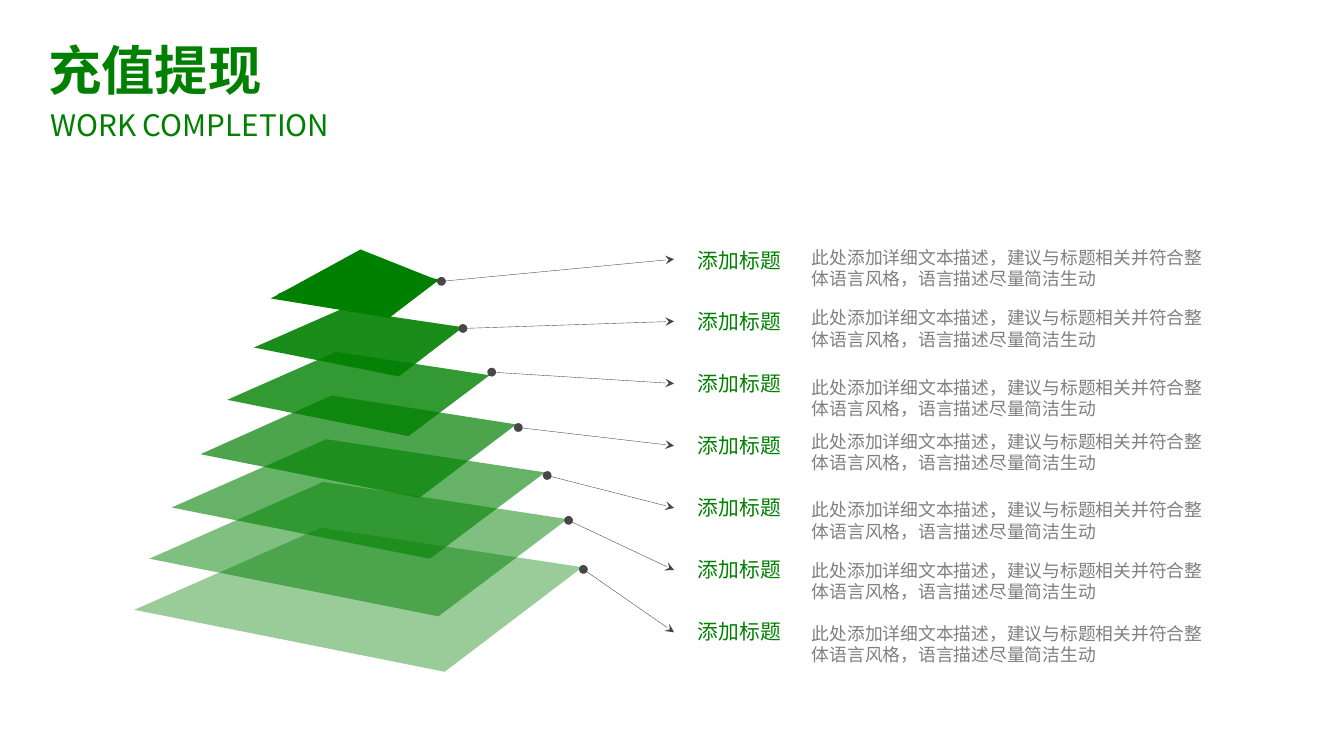
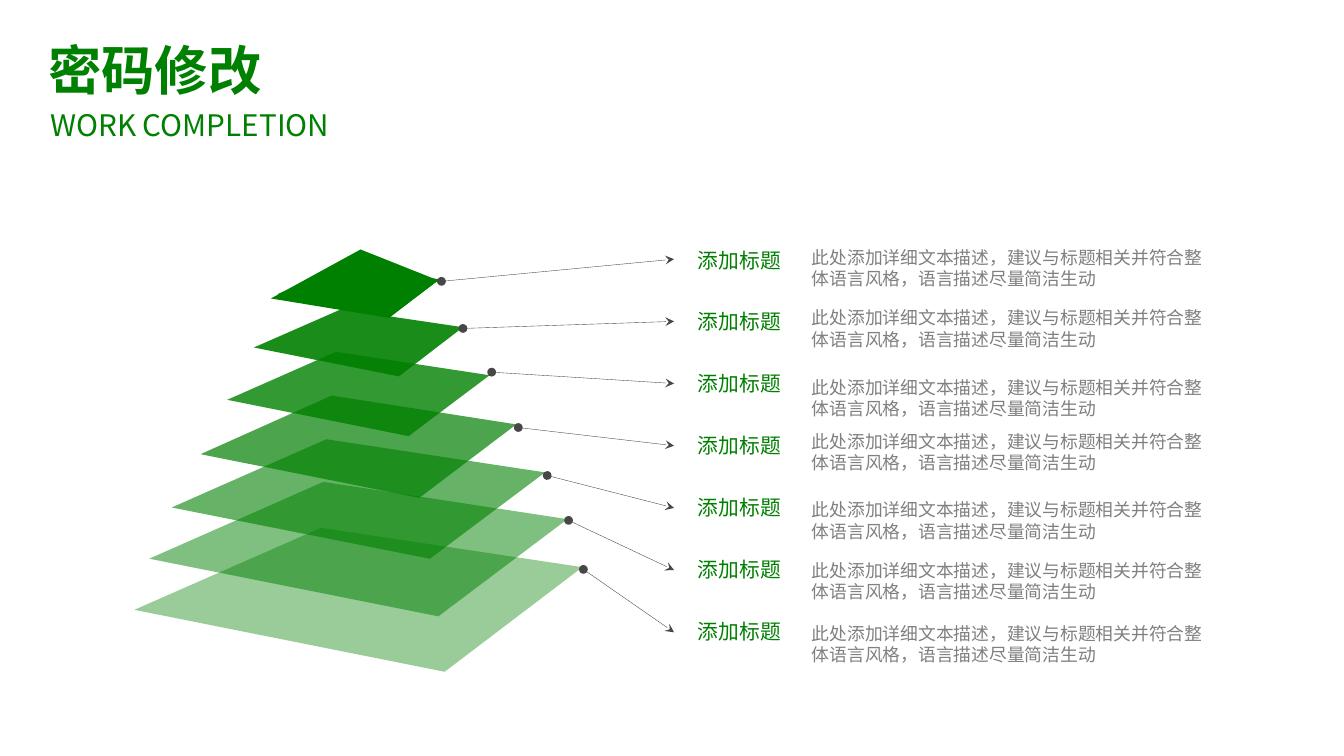
"""Builds two slides that each explain a seven-layer pyramid."""
from lxml.etree import SubElement
from pptx import Presentation
from pptx.dml.color import RGBColor
from pptx.enum.shapes import MSO_CONNECTOR as Connector
from pptx.enum.text import MSO_ANCHOR as Anchor, MSO_AUTO_SIZE as AutoSize
from pptx.oxml.ns import qn
from pptx.util import Pt

TITLES = ["充值提现", "密码修改"]
SUBTITLE = "WORK COMPLETION"
LABEL = "添加标题"
DESCRIPTION = "此处添加详细文本描述，建议与标题相关并符合整体语言风格，语言描述尽量简洁生动"
FONT, GREEN, GRAY, DARK = "Noto Sans CJK SC", "008000", "808080", "474747"

TIERS = [
    [(187.2, 198.7), (262.8, 214.6), (296.6, 188.6), (232.6, 179.3)],
    [(171.4, 234.7), (269.3, 254.2), (312.5, 221), (230.4, 208.8)],
    [(153.4, 270), (275.8, 294.5), (330.5, 253.4), (226.8, 237.6)],
    [(135.4, 306.7), (283, 336.2), (348.5, 286.6), (223.9, 267.1)],
    [(115.9, 342.7), (290.2, 377.3), (367.9, 319), (220.3, 296.6)],
    [(100.8, 377.3), (295.9, 416.2), (383, 350.6), (218.2, 325.4)],
    [(90.7, 411.8), (300.2, 453.6), (393.1, 383), (216.7, 356.4)],
]
PEAK = [(182.9, 201.6), (243.4, 168.5), (295.9, 189.4), (262.1, 214.6)]
POINTER_STARTS = [(298, 190), (312.5, 221.8), (331.9, 251.3), (349.9, 288.7),
                  (369.4, 321.1), (383.8, 351.4), (393.8, 384.5)]
DESCRIPTION_TOPS = [166.3, 207.4, 254.2, 290.9, 337, 378, 420.5]
POINTER_END, POINTER_TOP, POINTER_STEP = 455, 175, 42
LABEL_TOP, LABEL_STEP = 165, 41.75


def color(value):
    return RGBColor.from_string(value)


def add_text(slide, text, box, size, ink=GREEN, bold=False, margins=(0, 0),
             anchor=Anchor.TOP, spacing=None, grow=True):
    frame = slide.shapes.add_textbox(*map(Pt, box)).text_frame
    frame.word_wrap = True
    frame.auto_size = AutoSize.SHAPE_TO_FIT_TEXT if grow else AutoSize.NONE
    frame.vertical_anchor = anchor
    frame.margin_left = frame.margin_right = Pt(margins[0])
    frame.margin_top = frame.margin_bottom = Pt(margins[1])
    paragraph = frame.paragraphs[0]
    paragraph.line_spacing = spacing
    run = paragraph.add_run()
    run.text = text
    run.font.size, run.font.bold, run.font.name = Pt(size), bold, FONT
    run.font.color.rgb = color(ink)
    SubElement(run.font._element, qn("a:ea"), typeface=FONT)


def add_tier(shapes, corners, opacity=100):
    start, *others = [(Pt(x), Pt(y)) for x, y in corners]
    builder = shapes.build_freeform(*start)
    builder.add_line_segments(others, close=True)
    tier = builder.convert_to_shape()
    tier.shadow.inherit = False
    tier.line.fill.background()
    tier.fill.solid()
    tier.fill.fore_color.rgb = color(GREEN)
    if opacity < 100:
        ink = tier.element.spPr.find(qn("a:solidFill"))[0]
        SubElement(ink, qn("a:alpha"), val=str(opacity * 1000))


def add_pointer(slide, start, end):
    pointer = slide.shapes.add_connector(Connector.STRAIGHT, *map(Pt, start + end))
    pointer.line.width = Pt(0.25)
    pointer.line.color.rgb = color(DARK)
    properties = pointer.element.spPr
    outline = properties.find(qn("a:ln"))
    SubElement(outline, qn("a:headEnd"), type="oval")
    SubElement(outline, qn("a:tailEnd"), type="stealth")
    SubElement(properties, qn("a:effectLst"))


def add_pyramid(slide):
    for index in range(len(TIERS) - 1, 0, -1):
        add_tier(slide.shapes, TIERS[index], 100 - 10 * index)
    top = slide.shapes.add_group_shape()
    for corners in (TIERS[0], PEAK):
        add_tier(top.shapes, corners)


def add_explanations(slide):
    for index, (start, top) in enumerate(zip(POINTER_STARTS, DESCRIPTION_TOPS)):
        add_pointer(slide, start, (POINTER_END, POINTER_TOP + index * POINTER_STEP))
        add_text(slide, LABEL, (471, LABEL_TOP + index * LABEL_STEP, 77, 23), 14,
                 margins=(0, 3.6), anchor=Anchor.MIDDLE, spacing=0.9, grow=False)
        add_text(slide, DESCRIPTION, (548, top, 268.5, 29), 12, ink=GRAY)


def main():
    deck = Presentation()
    deck.slide_width, deck.slide_height = Pt(907.2), Pt(510.5)
    for title in TITLES:
        slide = deck.slides.add_slide(deck.slide_layouts[6])
        add_pyramid(slide)
        add_explanations(slide)
        add_text(slide, title, (24.5, 21, 287, 52), 36, bold=True, margins=(8, 4.2))
        add_text(slide, SUBTITLE, (34, 72, 284, 24.5), 20)
    deck.save("out.pptx")


if __name__ == "__main__":
    main()
